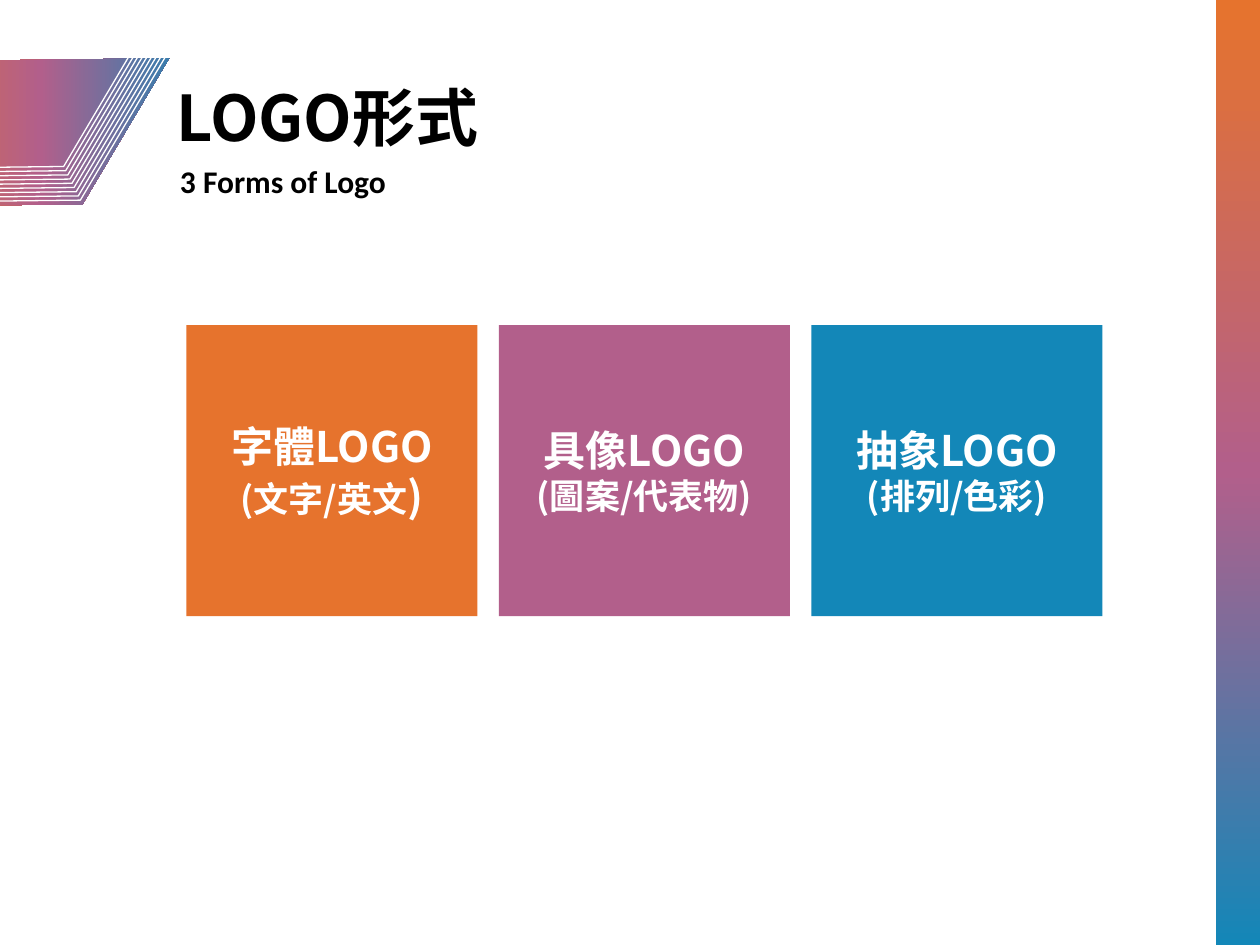
from lxml import etree
from pptx import Presentation
from pptx.dml.color import RGBColor
from pptx.enum.shapes import MSO_SHAPE
from pptx.enum.text import MSO_ANCHOR, PP_ALIGN
from pptx.oxml.ns import qn
from pptx.util import Inches, Pt

RECT, DIAMOND = MSO_SHAPE.RECTANGLE, MSO_SHAPE.DIAMOND
MIDDLE, TOP = MSO_ANCHOR.MIDDLE, MSO_ANCHOR.TOP
LEFT, CENTER = PP_ALIGN.LEFT, PP_ALIGN.CENTER
ORANGE = RGBColor(0xE6, 0x73, 0x2D)
PINK = RGBColor(0xB2, 0x5F, 0x8B)
BLUE = RGBColor(0x13, 0x87, 0xB8)
WHITE = RGBColor(0xFF, 0xFF, 0xFF)
BLACK = RGBColor(0, 0, 0)
CJK, LATIN = "Noto Sans CJK SC", "Calibri"
W, H = 10, 7.5
BAR = 0.35
SIDE, PITCH = 2.31, 2.48
FORMS = [
    (ORANGE, [[("字體LOGO", 24)], [("(文字/英文", 20), (")", 24)]]),
    (PINK, [[("具像LOGO", 24)], [("(圖案/代表物)", 20)]]),
    (BLUE, [[("抽象LOGO", 24)], [("(排列/色彩)", 20)]]),
]


def write(tf, lines, font=CJK, color=BLACK, align=LEFT, anchor=TOP, wrap=True):
    """Fill a text frame with lines of (text, size) runs in bold."""
    tf.word_wrap, tf.vertical_anchor = wrap, anchor
    for i, line in enumerate(lines):
        p = tf.add_paragraph() if i else tf.paragraphs[0]
        p.alignment = align
        for text, size in line:
            r = p.add_run()
            r.text = text
            r.font.name, r.font.size, r.font.bold = font, Pt(size), True
            r.font.color.rgb = color
            etree.SubElement(r.font._element, qn("a:ea"), typeface=font)


def add_text(s, x, y, w, h, lines, **fmt):
    """Add a text box."""
    box = s.shapes.add_textbox(Inches(x), Inches(y), Inches(w), Inches(h))
    write(box.text_frame, lines, **fmt)


def add_shape(shapes, kind, x, y, w, h, fill=None, line=None):
    """Add a preset shape with a plain fill or outline."""
    sp = shapes.add_shape(kind, Inches(x), Inches(y), Inches(w), Inches(h))
    sp.shadow.inherit = False
    if fill is None:
        sp.fill.background()
    else:
        sp.fill.solid()
        sp.fill.fore_color.rgb = fill
    if line is None:
        sp.line.fill.background()
    else:
        sp.line.color.rgb, sp.line.width = line, Pt(0.75)
    return sp


def set_gradient(sp, degrees):
    """Give a shape the three-colour gradient, fixed to the slide's axes."""
    sp.fill.gradient()
    grad = sp._element.spPr.find(qn("a:gradFill"))
    grad.set("rotWithShape", "0")
    for child in list(grad):
        grad.remove(child)
    stops = etree.SubElement(grad, qn("a:gsLst"))
    for i, color in enumerate((ORANGE, PINK, BLUE)):
        gs = etree.SubElement(stops, qn("a:gs"), pos=str(i * 50000))
        etree.SubElement(gs, qn("a:srgbClr"), val=str(color))
    etree.SubElement(grad, qn("a:lin"), ang=str(degrees * 60000), scaled="0")


def add_emblem(s):
    """Add the tilted gradient diamond crossed by nine stepped outlines."""
    group = s.shapes.add_group_shape()
    for i in range(10):
        sp = add_shape(group.shapes, DIAMOND, -0.85 - i / 60, 0.39 - i / 30,
                       2.35, 1.32, line=WHITE if i else None)
        sp.rotation = 330
        if i == 0:
            set_gradient(sp, 0)


def main():
    """Build the slide."""
    prs = Presentation()
    prs.slide_width, prs.slide_height = Inches(W), Inches(H)
    s = prs.slides.add_slide(prs.slide_layouts[6])
    add_text(s, 1.3, 0.3, 3.18, 1.25, [[("LOGO形式", 36)]], anchor=MIDDLE)
    add_emblem(s)
    set_gradient(add_shape(s.shapes, RECT, W - BAR, 0, BAR, H), 90)
    add_text(s, 1.33, 1.24, 1.85, 0.4, [[("3 Forms of Logo", 18)]],
             font=LATIN, wrap=False)
    for col, (color, lines) in enumerate(FORMS):
        sp = add_shape(s.shapes, RECT, 1.48 + col * PITCH, 2.58, SIDE, SIDE, fill=color)
        write(sp.text_frame, lines, color=WHITE, align=CENTER, anchor=MIDDLE)
    prs.save("out.pptx")


if __name__ == "__main__":
    main()
